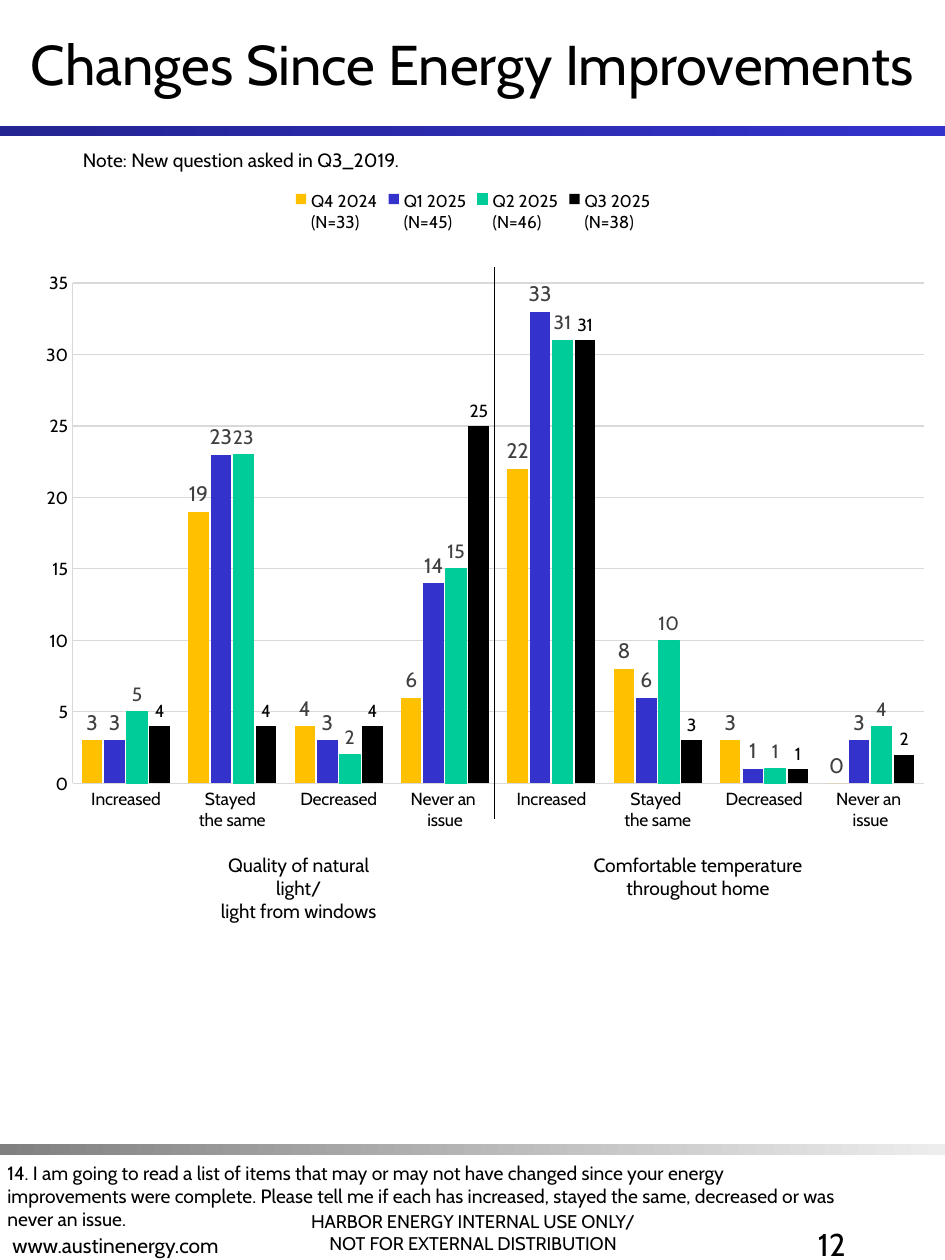
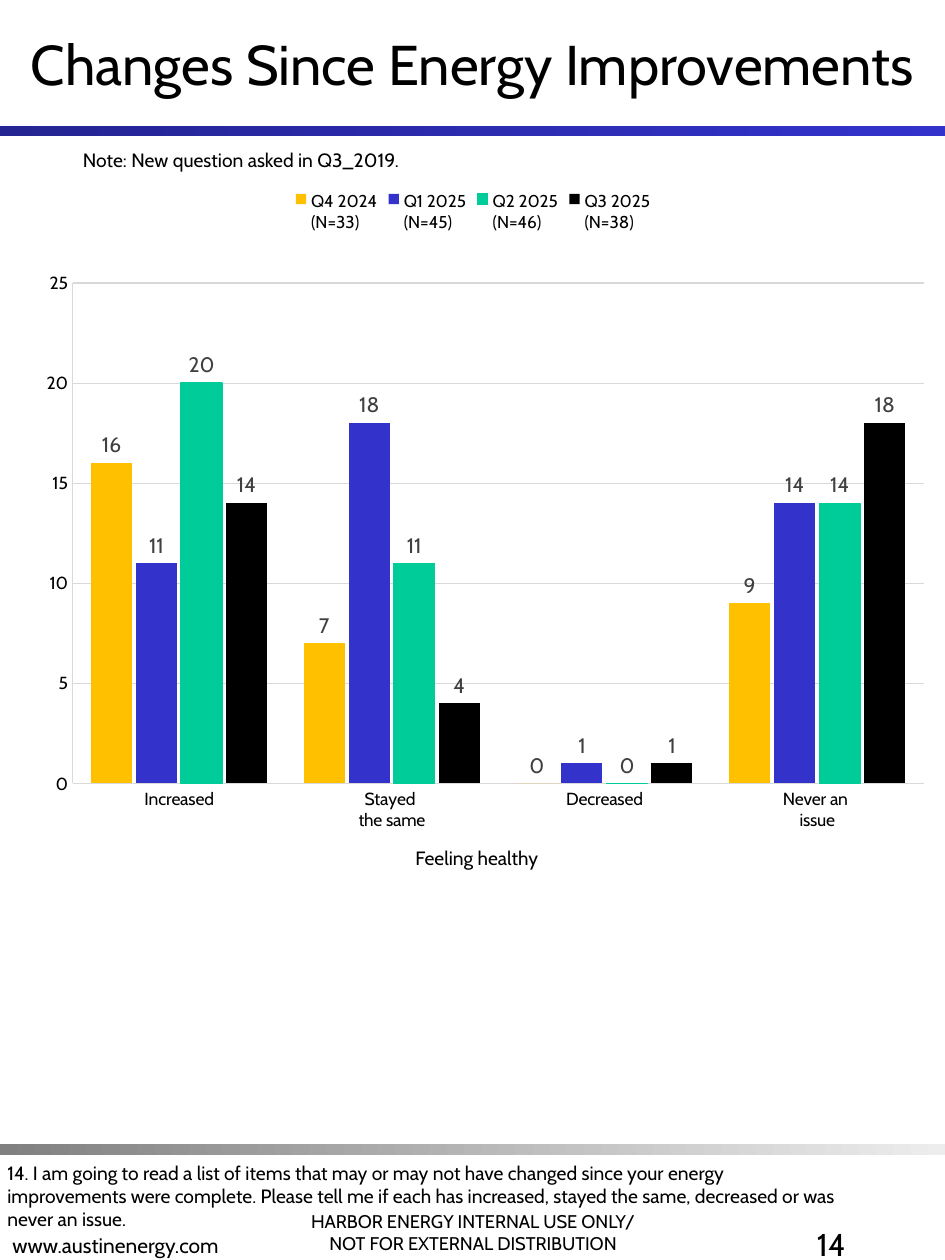
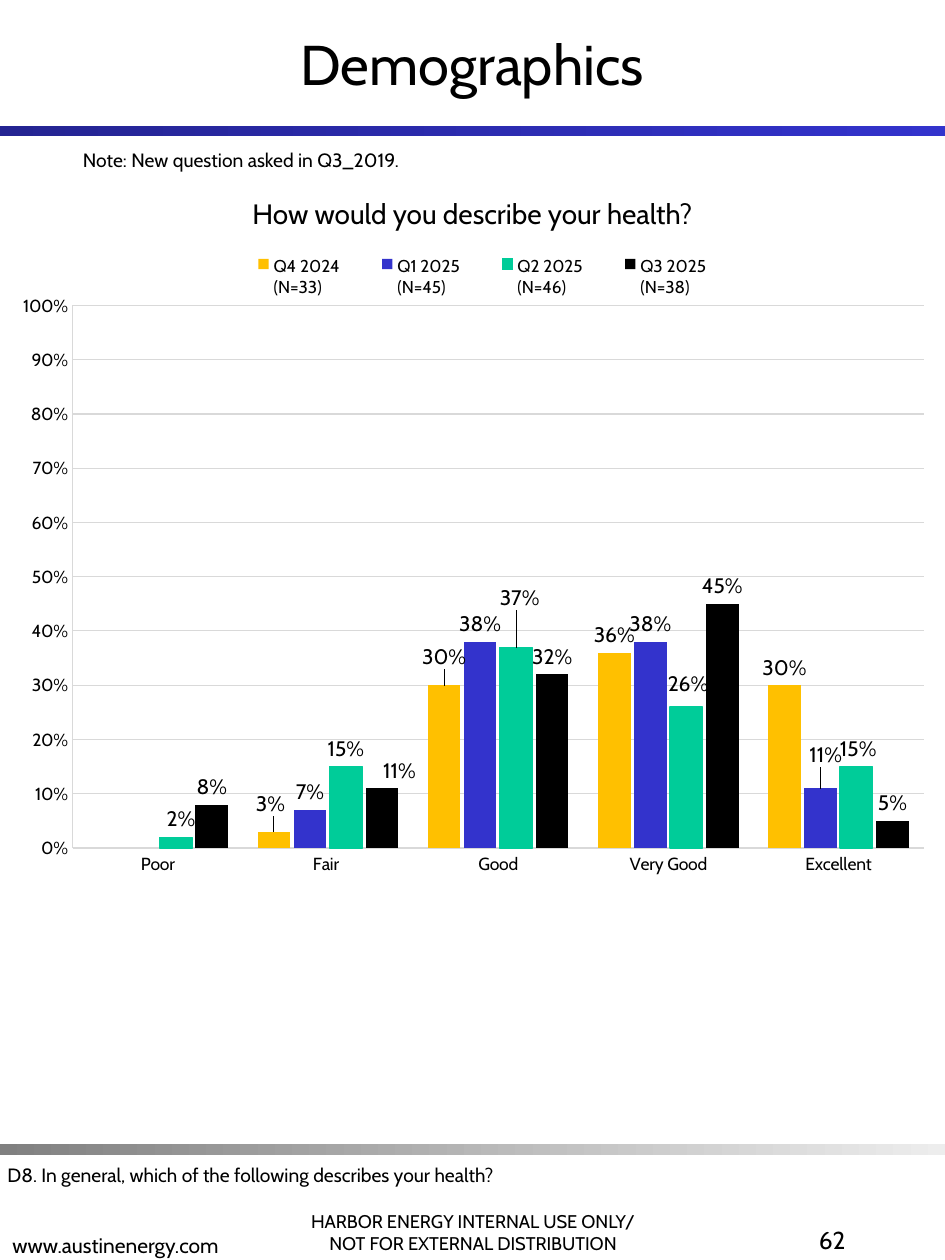
from collections import namedtuple

import pptx
import pptx.chart.data
import pptx.dml.color
import pptx.enum.chart
import pptx.enum.shapes
import pptx.enum.text
import pptx.oxml
import pptx.oxml.ns
import pptx.util

Pt = pptx.util.Pt
RGBColor = pptx.dml.color.RGBColor
ALIGN = pptx.enum.text.PP_ALIGN
ANCHOR = pptx.enum.text.MSO_ANCHOR
Box = namedtuple("Box", "left top width height")

# Shared look
BLACK = RGBColor(0x00, 0x00, 0x00)
LABEL_GREY = RGBColor(0x40, 0x40, 0x40)
GRID_GREY = RGBColor(0xD9, 0xD9, 0xD9)
BAND_NAVY = RGBColor(0x24, 0x24, 0x92)
BAND_GREY = RGBColor(0x80, 0x80, 0x80)
BAND_LIGHT = RGBColor(0xED, 0xED, 0xED)
GOLD = RGBColor(0xFF, 0xC0, 0x00)
BLUE = RGBColor(0x33, 0x33, 0xCC)
GREEN = RGBColor(0x00, 0xCC, 0x99)
QUARTER_COLORS = [GOLD, BLUE, GREEN, BLACK]
FONT = "Cabin"
PAGE = Box(0, 0, 540, 720)
CHANGES_BOX = Box(4.3, 100.8, 532, 426.2)
HEALTH_BOX = Box(4.3, 119.5, 532, 385.2)

# Shared wording
QUARTERS = ["Q4 2024\n(N=33)", "Q1 2025\n(N=45)", "Q2 2025\n(N=46)", "Q3 2025\n(N=38)"]
CHANGE_LEVELS = ["Increased", "Stayed \nthe same", "Decreased", "Never an \nissue"]
NOTE = "Note: New question asked in Q3_2019."
CHANGES_QUESTION = (
    "14. I am going to read a list of items that may or may not have changed since "
    "your energy improvements were complete. Please tell me if each has increased, "
    "stayed the same, decreased or was never an issue.")


def style_font(font, size, color=BLACK):
    font.name = FONT
    font.size = Pt(size)
    font.color.rgb = color


def write_lines(frame, lines, size, align):
    for index, line in enumerate(lines):
        paragraph = frame.paragraphs[0] if index == 0 else frame.add_paragraph()
        paragraph.alignment = align
        run = paragraph.add_run()
        run.text = line
        style_font(run.font, size)


def add_text(slide, box, lines, size, align=ALIGN.LEFT, anchor=ANCHOR.TOP, wrap=True):
    label = slide.shapes.add_textbox(*map(Pt, box))
    label.text_frame.word_wrap = wrap
    label.text_frame.vertical_anchor = anchor
    write_lines(label.text_frame, lines, size, align)
    return label


def add_band(slide, box, start, end):
    band = slide.shapes.add_shape(pptx.enum.shapes.MSO_SHAPE.RECTANGLE, *map(Pt, box))
    band.shadow.inherit = False
    band.line.fill.background()
    band.fill.gradient()
    band.fill.gradient_angle = 0
    for stop, color in zip(band.fill.gradient_stops, (start, end)):
        stop.color.rgb = color
    return band


def furnish_layout(slide, page):
    """Build the bands and footers, then move them to the slide's layout."""
    furniture = [
        add_band(slide, Box(page.left, page.top + 72, page.width, 6), BAND_NAVY, BLUE),
        add_band(slide, Box(page.left, page.top + 654, page.width, 6),
                 BAND_GREY, BAND_LIGHT),
        add_text(slide, Box(page.left + 155.5, page.top + 672, 229.7, 48),
                 ["HARBOR ENERGY INTERNAL USE ONLY/", "NOT FOR EXTERNAL DISTRIBUTION"],
                 10.5, ALIGN.CENTER, ANCHOR.BOTTOM),
        add_text(slide, Box(page.left, page.top + 674, 229.7, 48),
                 ["www.austinenergy.com"], 12, anchor=ANCHOR.BOTTOM),
    ]
    for part in furniture:
        slide.slide_layout.shapes.element.append(part.element)


def add_frame(slide, page, title, number, number_size, question, question_top):
    """Title, note, survey question and page number."""
    heading = slide.shapes.title
    heading.left, heading.top, heading.width, heading.height = map(
        Pt, (page.left, page.top, page.width, 72))
    heading.text_frame.auto_size = pptx.enum.text.MSO_AUTO_SIZE.NONE
    heading.text_frame.vertical_anchor = ANCHOR.MIDDLE
    write_lines(heading.text_frame, [title], 32, ALIGN.CENTER)
    add_text(slide, Box(page.left + 378, page.top + 696.2, 112.3, 48),
             [number], number_size, ALIGN.RIGHT)
    add_text(slide, Box(page.left + 40.3, page.top + 81.4, 463.7, 21), [NOTE], 11)
    add_text(slide, Box(page.left - 2.9, page.top + question_top, 493.2, 47.5),
             [question], 11)


def manual_layout(inner=False, edge=True, **fractions):
    """A c:layout element; without edge, x and y are offsets."""
    target = '<c:layoutTarget val="inner"/>' if inner else ""
    modes = '<c:xMode val="edge"/><c:yMode val="edge"/>' if edge else ""
    values = "".join(f'<c:{key} val="{value}"/>' for key, value in fractions.items())
    return pptx.oxml.parse_xml(
        f'<c:layout {pptx.oxml.ns.nsdecls("c")}><c:manualLayout>'
        f"{target}{modes}{values}</c:manualLayout></c:layout>")


def style_axes(chart, top_value, step, value_format):
    for axis, width in ((chart.category_axis, 0.62), (chart.value_axis, 0.41)):
        axis.major_tick_mark = axis.minor_tick_mark = pptx.enum.chart.XL_TICK_MARK.NONE
        style_font(axis.tick_labels.font, 10)
        axis.format.line.color.rgb = GRID_GREY
        axis.format.line.width = Pt(width)
    values = chart.value_axis
    values.minimum_scale, values.maximum_scale, values.major_unit = 0, top_value, step
    values.tick_labels.number_format = value_format
    values.tick_labels.number_format_is_linked = False
    values.major_gridlines.format.line.color.rgb = GRID_GREY
    values.major_gridlines.format.line.width = Pt(0.62)


def add_quarter_chart(slide, box, categories, rows, label_styles, top_value, step,
                      plot_height, value_format="General"):
    data = pptx.chart.data.CategoryChartData(number_format=value_format)
    data.categories = categories
    for quarter, row in zip(QUARTERS, rows):
        data.add_series(quarter, row)
    chart = slide.shapes.add_chart(
        pptx.enum.chart.XL_CHART_TYPE.COLUMN_CLUSTERED, *map(Pt, box), data).chart
    style_font(chart.font, 10)
    chart.has_title = False
    chart.has_legend = True
    chart.legend.position = pptx.enum.chart.XL_LEGEND_POSITION.TOP
    chart.legend.include_in_layout = False
    style_font(chart.legend.font, 9.8)
    style_axes(chart, top_value, step, value_format)

    # Columns and their labels
    plot = chart.plots[0]
    plot.gap_width, plot.overlap, plot.vary_by_categories = 90, -10, False
    for series, color, (size, label_color) in zip(
            plot.series, QUARTER_COLORS, label_styles):
        series.invert_if_negative = False
        series.format.fill.solid()
        series.format.fill.fore_color.rgb = color
        if color == GREEN:
            series.format.line.color.rgb = GREEN
            series.format.line.width = Pt(0.75)
        labels = series.data_labels
        labels.show_value = True
        labels.number_format = value_format
        labels.number_format_is_linked = False
        labels.position = pptx.enum.chart.XL_LABEL_POSITION.OUTSIDE_END
        style_font(labels.font, size, label_color)

    # Plot area inside the chart
    plot_area = chart.element.xpath("c:chart/c:plotArea")[0]
    for automatic in plot_area.xpath("c:layout"):
        plot_area.remove(automatic)
    plot_area.insert(0, manual_layout(inner=True, x=0.07, y=0.143, w=0.914, h=plot_height))
    return chart


def shift_label(series, index, right, down, box):
    """Move one column's label by a distance in points."""
    label = series.points[index].data_label
    label.position = pptx.enum.chart.XL_LABEL_POSITION.OUTSIDE_END
    style_font(label.font, 12)
    place = series._element.xpath(f"c:dLbls/c:dLbl/c:idx[@val='{index}']")[0]
    for automatic in place.xpath("../c:layout"):
        place.getparent().remove(automatic)
    place.addnext(manual_layout(edge=False, x=right / box.width, y=down / box.height))


def add_divider(slide, box):
    x = Pt(box.left + 278)
    divider = slide.shapes.add_connector(
        pptx.enum.shapes.MSO_CONNECTOR.STRAIGHT,
        x, Pt(box.top + 51.8), x, Pt(box.top + 367.2))
    divider.line.color.rgb = BLACK
    divider.line.width = Pt(0.25)
    properties = divider.element.xpath("p:spPr")[0]
    properties.append(pptx.oxml.parse_xml(
        f'<a:effectLst {pptx.oxml.ns.nsdecls("a")}/>'))


def build_changes(slide, box, number, categories, rows, label_styles, top_value, captions):
    add_frame(slide, PAGE, "Changes Since Energy Improvements", number, 18,
              CHANGES_QUESTION, 660.2)
    add_quarter_chart(slide, box, categories, rows, label_styles, top_value, 5, 0.671)
    for left, top, width, lines in captions:
        add_text(slide, Box(box.left + left, box.top + top, width, 32.4),
                 lines, 11, ALIGN.CENTER, wrap=False)


def build_health(slide, box):
    add_frame(slide, PAGE, "Demographics", "62", 14,
              "D8. In general, which of the following describes your health?", 661)
    chart = add_quarter_chart(
        slide, box, ["Poor", "Fair ", "Good", "Very Good", "Excellent"],
        [[None, 0.03, 0.3, 0.36, 0.3], [None, 0.07, 0.38, 0.38, 0.11],
         [0.02, 0.15, 0.37, 0.26, 0.15], [0.08, 0.11, 0.32, 0.45, 0.05]],
        [(12, BLACK)] * 4, 1, 0.1, 0.805, "0%")

    # Legend spread below the chart heading
    legend_position = chart.element.xpath("c:chart/c:legend/c:legendPos")[0]
    for automatic in legend_position.xpath("../c:layout"):
        legend_position.getparent().remove(automatic)
    legend_position.addnext(manual_layout(x=0.23, y=0.06, w=0.56, h=0.08))

    # Labels moved clear of their neighbours: quarter, category, right, down
    for quarter, category, right, down in (
            (0, 1, -2, -6), (0, 2, 0, -6), (1, 4, 3, -9), (2, 0, 3, 0),
            (2, 2, 2, -18), (2, 3, 1, -3), (2, 4, 1, 0), (3, 1, 10, 0)):
        shift_label(chart.plots[0].series[quarter], category, right, down, box)
    add_text(slide, Box(box.left + 117.4, box.top - 10.8, 296.6, 26.6),
             ["How would you describe your health?"], 16, ALIGN.CENTER)


def main():
    deck = pptx.Presentation()
    deck.slide_width, deck.slide_height = Pt(PAGE.width), Pt(PAGE.height)
    title_only = deck.slide_layouts[5]
    comfort, healthy, demographics = [deck.slides.add_slide(title_only) for _ in range(3)]
    furnish_layout(comfort, PAGE)

    # Light and temperature
    build_changes(
        comfort, CHANGES_BOX, "12", CHANGE_LEVELS * 2,
        [[3, 19, 4, 6, 22, 8, 3, 0], [3, 23, 3, 14, 33, 6, 1, 3],
         [5, 23, 2, 15, 31, 10, 1, 4], [4, 4, 4, 25, 31, 3, 1, 2]],
        [(12, LABEL_GREY), (12, LABEL_GREY), (11, LABEL_GREY), (10, BLACK)], 35,
        [(109.5, 383, 113.8, ["Quality of natural light/", "light from windows"]),
         (325.5, 383, 138.2, ["Comfortable temperature", "throughout home"])])
    add_divider(comfort, CHANGES_BOX)

    # Feeling healthy
    build_changes(
        healthy, CHANGES_BOX, "14", CHANGE_LEVELS,
        [[16, 7, 0, 9], [11, 18, 1, 14], [20, 11, 0, 14], [14, 4, 1, 18]],
        [(12, LABEL_GREY)] * 4, 25, [(216.7, 379.4, 103, ["Feeling healthy"])])

    # Self-described health
    build_health(demographics, HEALTH_BOX)
    deck.save("out.pptx")


if __name__ == "__main__":
    main()
